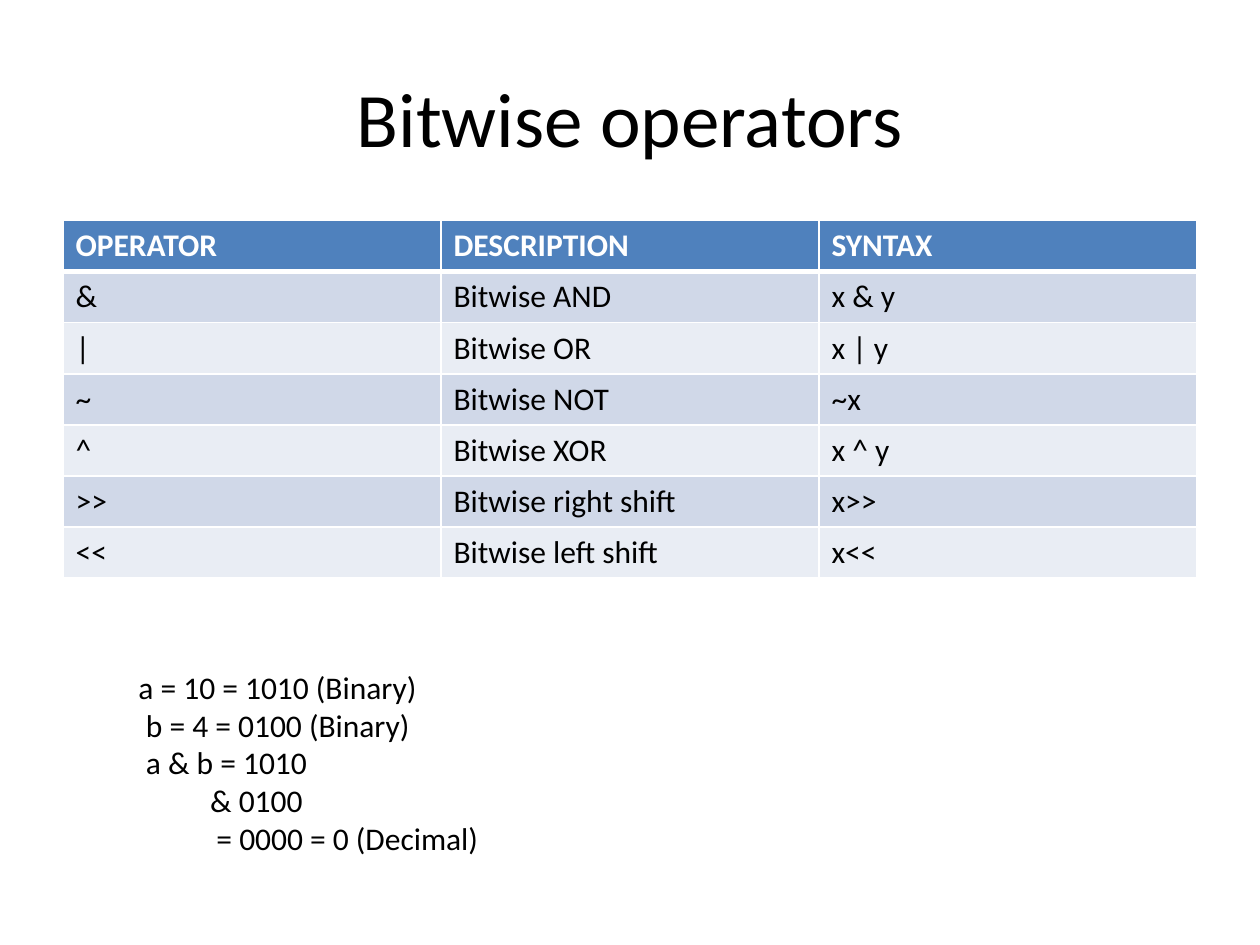
import dataclasses

import lxml.etree
import pptx
import pptx.dml.color
import pptx.enum.text
import pptx.oxml.ns
import pptx.util


@dataclasses.dataclass(frozen=True)
class Theme:
    font: str = "Calibri"
    title_size: int = 44
    body_size: int = 18
    ink: str = "000000"
    paper: str = "FFFFFF"
    header: str = "4F81BD"
    bands: tuple = ("D0D8E8", "E9EDF4")
    rule: int = 1
    header_rule: int = 3


theme = Theme()
rgb = pptx.dml.color.RGBColor.from_string
qn = pptx.oxml.ns.qn


def write(paragraph, text, size=theme.body_size, color=theme.ink, bold=False,
          align=pptx.enum.text.PP_ALIGN.LEFT, indent=0):
    paragraph.alignment = align
    if indent:
        paragraph._p.get_or_add_pPr().set("marL", str(int(indent)))
    run = paragraph.add_run()
    run.text = text
    run.font.name = theme.font
    run.font.size = pptx.util.Pt(size)
    run.font.bold = bold
    run.font.color.rgb = rgb(color)


def add_border(cell, side, width):
    line = lxml.etree.SubElement(cell._tc.get_or_add_tcPr(), qn(f"a:ln{side}"),
                                 w=str(pptx.util.Pt(width)))
    fill = lxml.etree.SubElement(line, qn("a:solidFill"))
    lxml.etree.SubElement(fill, qn("a:srgbClr"), val=theme.paper)


deck = pptx.Presentation()
deck.slide_width = pptx.util.Inches(10)
deck.slide_height = pptx.util.Inches(7.5)
W, H = deck.slide_width, deck.slide_height
margin = int(W * 0.05)
content_width = W - 2 * margin
slide = deck.slides.add_slide(deck.slide_layouts.get_by_name("Title Only"))

# Title
title = slide.shapes.title
title.left, title.top = margin, int(H * 0.04)
title.width, title.height = content_width, int(H / 6)
title.text_frame.vertical_anchor = pptx.enum.text.MSO_ANCHOR.MIDDLE
write(title.text_frame.paragraphs[0], "Bitwise operators",
      size=theme.title_size, align=pptx.enum.text.PP_ALIGN.CENTER)

# Operator table
operators = [
    ("OPERATOR", "DESCRIPTION", "SYNTAX"),
    ("&", "Bitwise AND", "x & y"),
    ("|", "Bitwise OR", "x | y"),
    ("~", "Bitwise NOT", "~x"),
    ("^", "Bitwise XOR", "x ^ y"),
    (">>", "Bitwise right shift", "x>>"),
    ("<<", "Bitwise left shift", "x<<"),
]
row_height = pptx.util.Inches(2.84 / len(operators))
operator_table = slide.shapes.add_table(
    len(operators), len(operators[0]), margin, pptx.util.Inches(1.75),
    content_width, row_height * len(operators)).table
for r, entries in enumerate(operators):
    is_header = r == 0
    for c, entry in enumerate(entries):
        cell = operator_table.cell(r, c)
        cell.vertical_anchor = pptx.enum.text.MSO_ANCHOR.MIDDLE
        write(cell.text_frame.paragraphs[0], entry, bold=is_header,
              color=theme.paper if is_header else theme.ink)
        for side in "LRTB":
            below_header = (r, side) in ((0, "B"), (1, "T"))
            add_border(cell, side, theme.header_rule if below_header else theme.rule)
        cell.fill.solid()
        cell.fill.fore_color.rgb = rgb(theme.header if is_header
                                       else theme.bands[(r - 1) % 2])

# Worked example: each line with its indent in inches
example_lines = [
    ("a = 10 = 1010 (Binary)", 0),
    ("b = 4 = 0100 (Binary)", 0.06),
    ("a & b = 1010", 0.06),
    ("& 0100", 0.57),
    ("= 0000 = 0 (Decimal)", 0.62),
]
example = slide.shapes.add_textbox(int(W * 0.1), int(H * 0.7),
                                   pptx.util.Inches(5.83),
                                   pptx.util.Inches(1.62)).text_frame
example.word_wrap = True
example.auto_size = pptx.enum.text.MSO_AUTO_SIZE.SHAPE_TO_FIT_TEXT
for i, (text, indent) in enumerate(example_lines):
    paragraph = example.add_paragraph() if i else example.paragraphs[0]
    write(paragraph, text, indent=pptx.util.Inches(indent))

deck.save("out.pptx")
